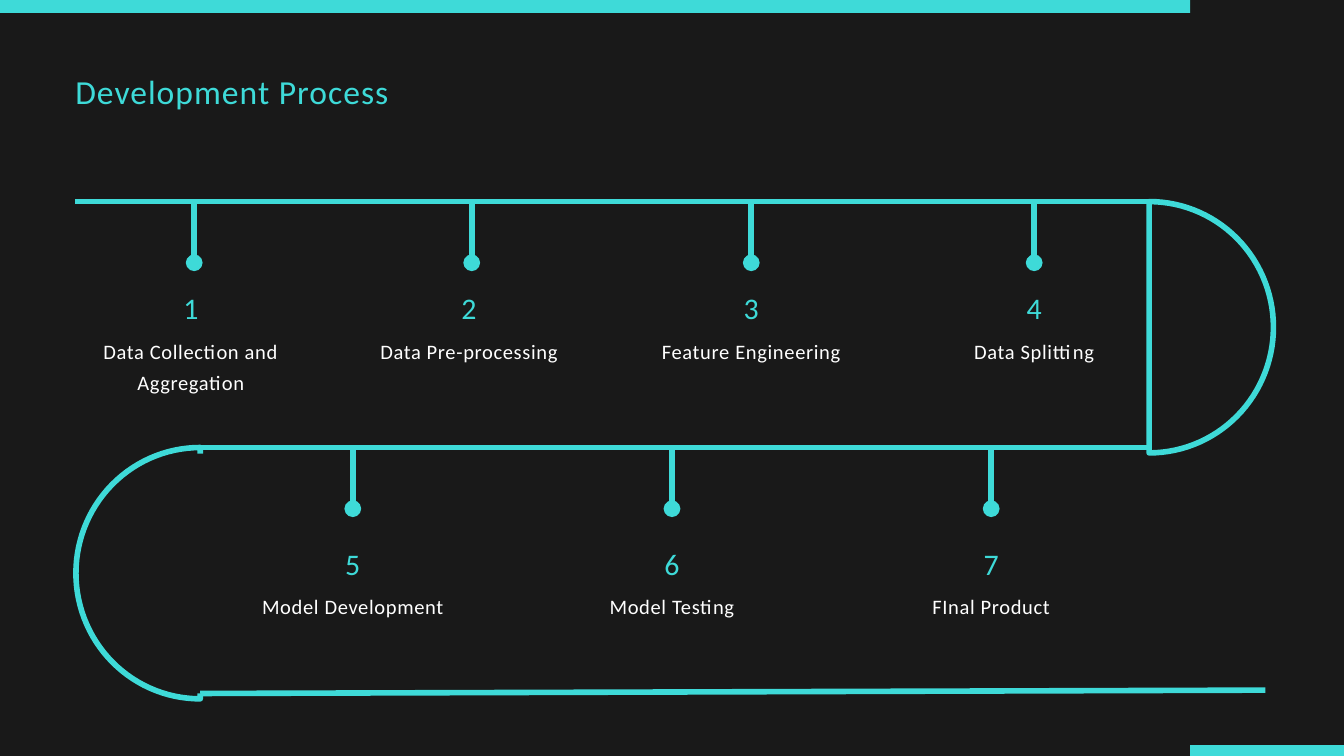
import math
from lxml import etree
from pptx import Presentation
from pptx.dml.color import RGBColor
from pptx.enum import shapes, text
from pptx.oxml import ns
from pptx.util import Emu, Pt

PX = 9144  # 100 px to the inch
AQUA = RGBColor(0x3E, 0xDA, 0xD8)
WHITE = RGBColor(0xFF, 0xFF, 0xFF)
DARK = RGBColor(0x19, 0x19, 0x19)
FONT = "Calibri"
TRACK_WIDTH = Pt(6)

# Content
TITLE = "Development Process"
# Each row: track y, number y, steps as (pin x, text centre x, label lines, label)
ROWS = [
    (300, 427, [
        (289, 284, 2, "Data Collection and Aggregation"),
        (702, 698, 1, "Data Pre-processing"),
        (1118, 1118, 1, "Feature Engineering"),
        (1539, 1539, 1, "Data Splitting"),
    ]),
    (666, 807, [
        (525, 525, 1, "Model Development"),
        (1000, 1000, 1, "Model Testing"),
        (1475, 1475, 1, "FInal Product"),
    ]),
]
TRACKS = [(112, 300, 1711, 300), (298, 666, 1711, 666), (298, 1032, 1883, 1027)]
BARS = [(0, 0, 1771, 19), (1771, 1109, 229, 16)]
STEP_WIDTH, PIN_LENGTH, LABEL_DROP = 344, 91, 68
BEND_WIDTH, BEND_HEIGHT = 185, 374


def px(*lengths):
    return [Emu(round(length * PX)) for length in lengths]


prs = Presentation()
prs.slide_width, prs.slide_height = px(2000, 1125)
slide = prs.slides.add_slide(prs.slide_layouts[5])
slide.background.fill.solid()
slide.background.fill.fore_color.rgb = DARK


def add_block(left, top, width, height, color):
    block = slide.shapes.add_shape(shapes.MSO_SHAPE.RECTANGLE, *px(left, top, width, height))
    block.shadow.inherit = False
    block.fill.solid()
    block.fill.fore_color.rgb = color
    block.line.fill.background()


def add_bend(x, top, side):
    """Closed half ellipse on a vertical edge; side is 1 for right, -1 for left."""
    middle = top + BEND_HEIGHT / 2
    angles = [math.radians(degree) for degree in range(-90, 91, 3)]
    points = [px(x + side * BEND_WIDTH * math.cos(a), middle + BEND_HEIGHT / 2 * math.sin(a))
              for a in angles]
    builder = slide.shapes.build_freeform(*points[0])
    builder.add_line_segments(points[1:], close=True)
    bend = builder.convert_to_shape()
    bend.shadow.inherit = False
    bend.fill.background()
    bend.line.color.rgb = AQUA
    bend.line.width = TRACK_WIDTH


def add_track(x1, y1, x2, y2, dot=False):
    track = slide.shapes.add_connector(shapes.MSO_CONNECTOR.STRAIGHT, *px(x1, y1, x2, y2))
    track.line.color.rgb = AQUA
    track.line.width = TRACK_WIDTH
    if dot:
        etree.SubElement(track.line._get_or_add_ln(), ns.qn("a:tailEnd"), type="oval")
    etree.SubElement(track._element.spPr, ns.qn("a:effectLst"))


def write(box, words, size, color, leading, tracking, align):
    frame = box.text_frame
    frame.word_wrap = True
    frame.auto_size = text.MSO_AUTO_SIZE.NONE
    frame.vertical_anchor = text.MSO_ANCHOR.TOP
    frame.margin_left = frame.margin_top = frame.margin_right = frame.margin_bottom = 0
    paragraph = frame.paragraphs[0]
    paragraph.alignment = align
    paragraph.line_spacing = Pt(leading)
    run = paragraph.add_run()
    run.text = words
    run.font.name = FONT
    run.font.size = Pt(size)
    run.font.color.rgb = color
    run.font._element.set("spc", str(tracking))


# Title
title = slide.shapes.title
title.left, title.top, title.width, title.height = px(112, 100, 1339, 63)
write(title, TITLE, 36, AQUA, 46.8, 110, text.PP_ALIGN.LEFT)

# Winding track; the block hides the straight edge of the left bend
add_bend(1710, 300, 1)
add_bend(298, 666, -1)
add_block(289, 675, 125, 357, DARK)
for ends in TRACKS:
    add_track(*ends)

# Corner bars
for bar in BARS:
    add_block(*bar, AQUA)

# Numbered steps
number = 0
for track_y, number_y, steps in ROWS:
    for pin_x, centre, lines, label in steps:
        number += 1
        add_track(pin_x, track_y, pin_x, track_y + PIN_LENGTH, dot=True)
        left = centre - STEP_WIDTH // 2
        number_box = slide.shapes.add_textbox(*px(left, number_y, STEP_WIDTH, 55))
        write(number_box, str(number), 32, AQUA, 41.6, 160, text.PP_ALIGN.CENTER)
        label_box = slide.shapes.add_textbox(
            *px(left, number_y + LABEL_DROP, STEP_WIDTH, 45 * lines - 5))
        write(label_box, label, 22, WHITE, 33, 70, text.PP_ALIGN.CENTER)

prs.save("out.pptx")
